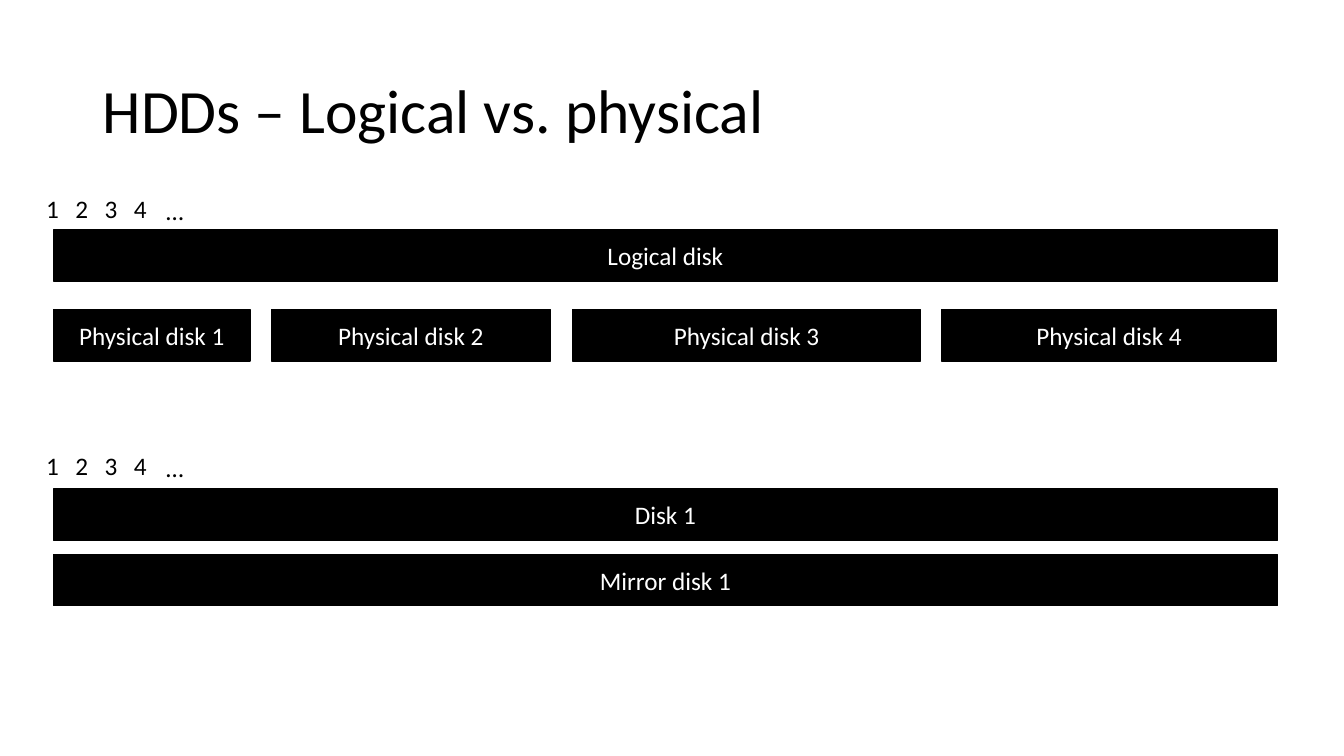
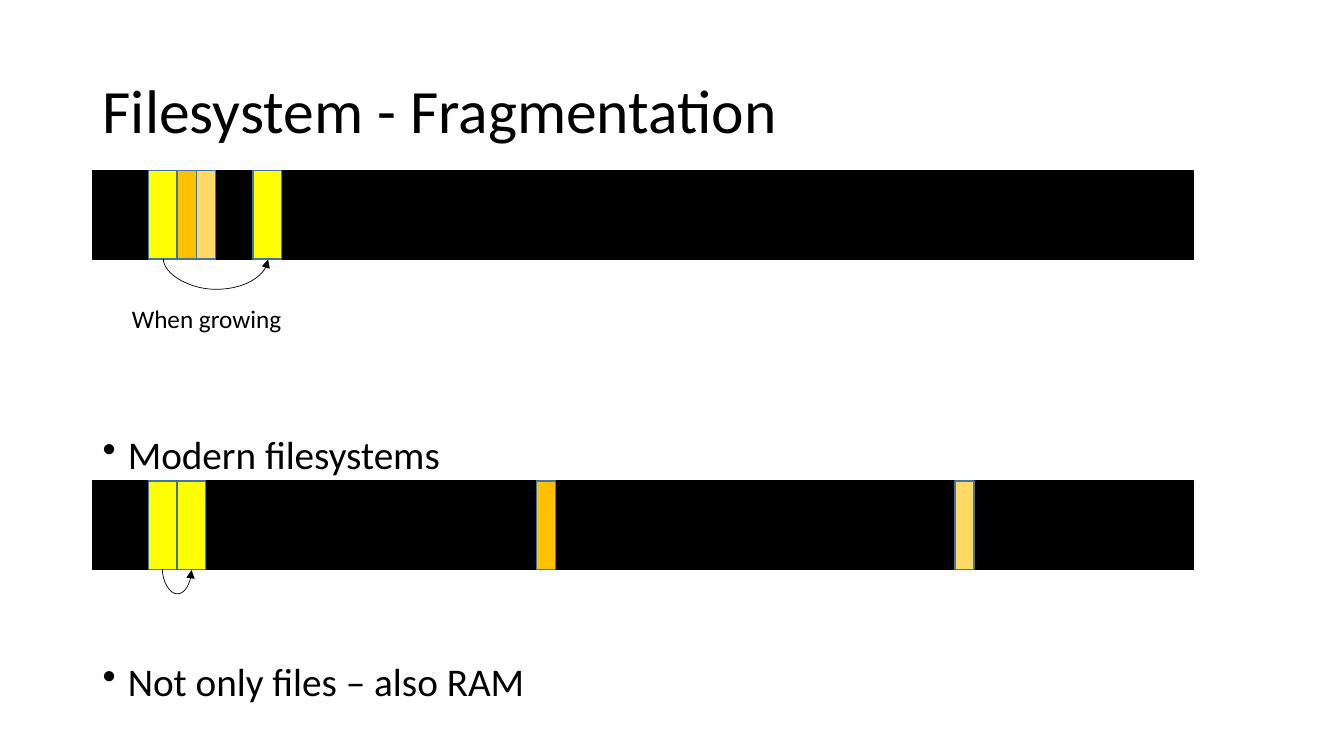
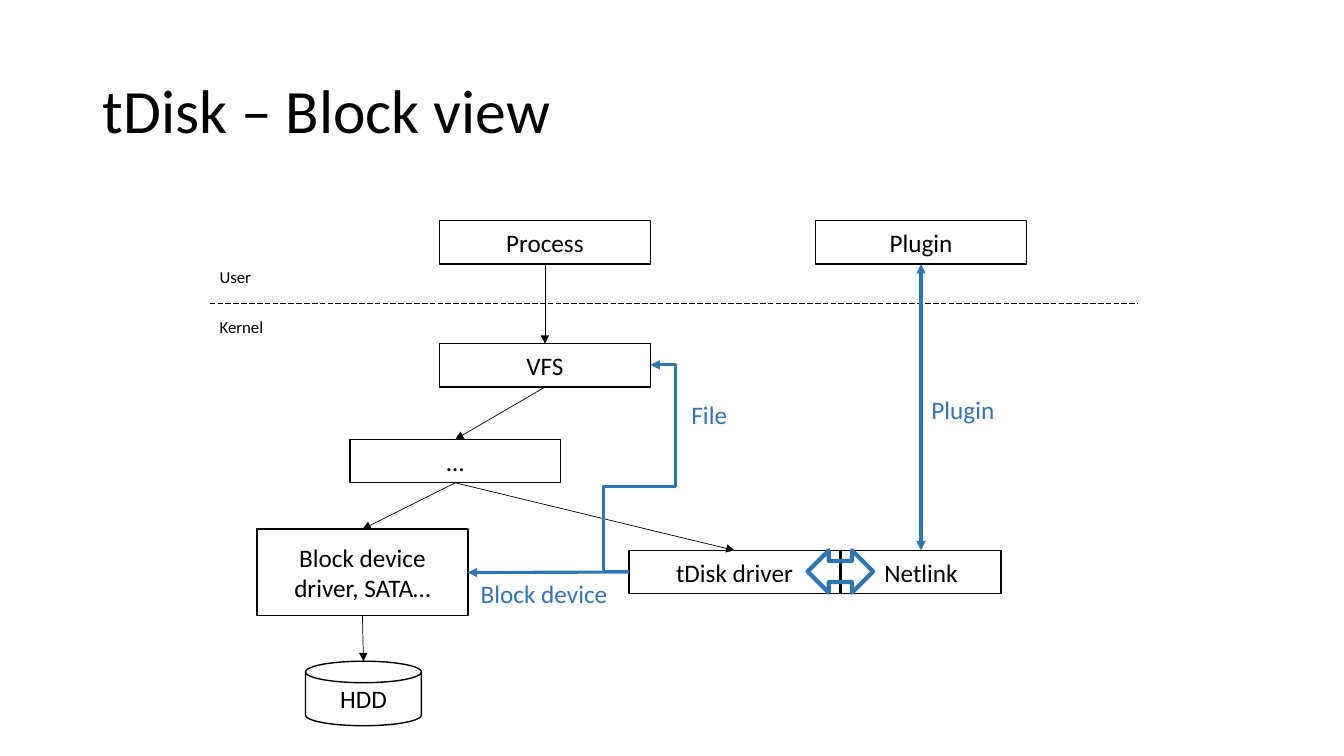
from dataclasses import dataclass
from typing import Optional

from lxml import etree
from pptx import Presentation
from pptx import util as u
from pptx.dml.color import RGBColor
from pptx.enum import dml, shapes, text
from pptx.oxml import ns

Point = tuple[float, float]
Kind = shapes.MSO_SHAPE
Wire = shapes.MSO_CONNECTOR


@dataclass(frozen=True)
class Theme:
    font: str = "Calibri"
    black: str = "000000"
    white: str = "FFFFFF"
    blue: str = "2E75B6"
    edge: str = "43739E"
    yellow: str = "FFFF00"
    amber: str = "FFC000"
    sand: str = "FFD966"
    title: int = 44
    body: int = 28
    label: int = 18
    small: int = 12
    thin: float = 0.5
    rim: float = 1
    thick: float = 2.25
    bold: float = 3


T = Theme()


@dataclass(frozen=True)
class Box:
    left: float
    top: float
    width: float
    height: float
    words: str = ""
    fill: Optional[str] = T.white
    line: str = T.black
    ink: str = T.black
    kind: Kind = Kind.RECTANGLE
    rim: float = T.rim

    def at(self, across: float, down: float) -> Point:
        return self.left + across * self.width, self.top + down * self.height

    @property
    def head(self) -> Point:
        return self.at(0.5, 0)

    @property
    def foot(self) -> Point:
        return self.at(0.5, 1)


@dataclass(frozen=True)
class Label:
    left: float
    top: float
    width: float
    words: str
    size: int = T.label
    ink: str = T.black
    wrap: bool = False
    height: float = 0.4


@dataclass(frozen=True)
class Pen:
    ink: str = T.black
    width: float = T.thin
    start: bool = False
    end: bool = True
    dash: bool = False


BLUE = Pen(T.blue, T.thick)


def style(para, size: int, ink: str) -> None:
    para.font.name = T.font
    para.font.size = u.Pt(size)
    para.font.color.rgb = RGBColor.from_string(ink)


def add_text(slide, left: float, top: float, width: float, height: float):
    area = slide.shapes.add_textbox(*map(u.Inches, (left, top, width, height)))
    area.text_frame.word_wrap = True
    return area.text_frame


def add_label(slide, label: Label) -> None:
    frame = add_text(slide, label.left, label.top, label.width, label.height)
    frame.word_wrap = label.wrap
    frame.auto_size = text.MSO_AUTO_SIZE.SHAPE_TO_FIT_TEXT
    frame.text = label.words
    style(frame.paragraphs[0], label.size, label.ink)


def add_box(slide, box: Box) -> None:
    shape = slide.shapes.add_shape(
        box.kind, *map(u.Inches, (box.left, box.top, box.width, box.height)))
    shape.shadow.inherit = False
    if box.fill:
        shape.fill.solid()
        shape.fill.fore_color.rgb = RGBColor.from_string(box.fill)
    else:
        shape.fill.background()
    shape.line.color.rgb = RGBColor.from_string(box.line)
    shape.line.width = u.Pt(box.rim)
    if box.words:
        frame = shape.text_frame
        frame.text = box.words
        frame.vertical_anchor = text.MSO_ANCHOR.MIDDLE
        frame.paragraphs[0].alignment = text.PP_ALIGN.CENTER
        style(frame.paragraphs[0], T.label, box.ink)


def add_link(slide, start: Point, end: Point, pen: Pen = Pen(),
             kind: Wire = Wire.STRAIGHT):
    link = slide.shapes.add_connector(kind, *map(u.Inches, start + end))
    link.line.color.rgb = RGBColor.from_string(pen.ink)
    link.line.width = u.Pt(pen.width)
    if pen.dash:
        link.line.dash_style = dml.MSO_LINE.LONG_DASH
    for tag, shown in (("a:headEnd", pen.start), ("a:tailEnd", pen.end)):
        if shown:
            etree.SubElement(link.line._ln, ns.qn(tag), type="triangle")
    etree.SubElement(link._element.spPr, ns.qn("a:effectLst"))
    return link


def add_bend(slide, box: Box, turn: int, kind: Wire, preset: str,
             bends: list[float], pen: Pen = Pen()) -> None:
    link = add_link(slide, box.at(1, 0), box.at(0, 1), pen, kind)
    props = link._element.spPr
    props.find(ns.qn("a:xfrm")).set("rot", str(turn * 60000))
    shape = props.find(ns.qn("a:prstGeom"))
    shape.set("prst", preset)
    guides = shape.find(ns.qn("a:avLst"))
    for i, bend in enumerate(bends, 1):
        etree.SubElement(guides, ns.qn("a:gd"), name=f"adj{i}",
                         fmla=f"val {round(bend * 100000)}")


def add_arc(slide, left: float, right: float, top: float, depth: float) -> None:
    thin, span = 0.01, right - left
    box = Box((left + right - thin) / 2, top - span / 2, thin, span)
    add_bend(slide, box, 270, Wire.CURVE, "curvedConnector3", [depth / thin])


def add_slide(deck, title: str):
    slide = deck.slides.add_slide(deck.slide_layouts[6])
    frame = add_text(slide, 0.92, 0.4, 11.5, 1.45)
    frame.vertical_anchor = text.MSO_ANCHOR.MIDDLE
    frame.text = title
    frame.paragraphs[0].line_spacing = 0.9
    style(frame.paragraphs[0], T.title, T.black)
    return slide


def add_bullets(slide, lines: list[str], gap: float) -> None:
    frame = add_text(slide, 0.92, 2, 11.5, 5.04)
    frame.vertical_anchor = text.MSO_ANCHOR.BOTTOM
    frame.text = "\n".join(lines)
    for i, para in enumerate(frame.paragraphs):
        para.line_spacing = 0.9
        para.space_before = u.Pt(gap if i else 0)
        style(para, T.body, T.black)
        props = para._p.get_or_add_pPr()
        props.set("marL", str(u.Inches(0.25)))
        props.set("indent", str(u.Inches(-0.25)))
        mark = etree.Element(ns.qn("a:buChar"), char="•")
        props.find(ns.qn("a:defRPr")).addprevious(mark)


def draw_disks(deck) -> None:
    slide = add_slide(deck, "HDDs – Logical vs. physical")
    left, width, height = 0.53, 12.14, 0.51
    disks = [
        (left, 2.28, width, "Logical disk"),
        (left, 3.07, 1.95, "Physical disk 1"),
        (2.69, 3.07, 2.77, "Physical disk 2"),
        (5.68, 3.07, 3.45, "Physical disk 3"),
        (9.34, 3.07, 3.32, "Physical disk 4"),
        (left, 4.85, width, "Disk 1"),
        (left, 5.5, width, "Mirror disk 1"),
    ]
    for x, y, wide, name in disks:
        add_box(slide, Box(x, y, wide, height, name, T.black, ink=T.white))
    for top in (1.87, 4.42):
        for i in range(4):
            add_label(slide, Label(0.36 + 0.29 * i, top, 0.33, str(i + 1)))
        add_label(slide, Label(1.55, top + 0.02, 0.38, "…"))


def draw_files(deck) -> None:
    slide = add_slide(deck, "Filesystem - Fragmentation")
    add_bullets(slide, ["Modern filesystems", "Not only files – also RAM"], 132)
    large, small, height = 0.28, 0.19, 0.88
    strips = {
        1.69: [(1.47, large, T.yellow), (1.76, small, T.amber),
               (1.95, small, T.sand), (2.51, large, T.yellow)],
        4.77: [(1.47, large, T.yellow), (5.32, small, T.amber),
               (9.47, small, T.sand), (1.76, large, T.yellow)],
    }
    for top, blocks in strips.items():
        add_box(slide, Box(0.92, top, 10.92, height, fill=T.black))
        for left, width, fill in blocks:
            add_box(slide, Box(left, top, width, height, fill=fill, line=T.edge))
    add_arc(slide, 1.62, 2.66, 2.57, 0.31)
    add_arc(slide, 1.61, 1.9, 5.65, 0.25)
    add_label(slide, Label(1.21, 2.96, 1.86, "When growing", wrap=True))


def draw_blocks(deck) -> None:
    slide = add_slide(deck, "tDisk – Block view")
    add_link(slide, (2.08, 3.01), (11.28, 3.01), Pen(end=False, dash=True))
    for top, name in ((3.09, "Kernel"), (2.6, "User")):
        add_label(slide, Label(2.08, top, 1, name, T.small, wrap=True, height=0.3))

    width, height = 2.09, 0.43
    task = Box(4.36, 2.19, width, height, "Process")
    disk = Box(6.24, 5.46, width, height, "tDisk driver")
    vfs = Box(4.36, 3.41, width, height, "VFS")
    more = Box(3.47, 4.36, width, height, "…")
    block = Box(2.55, 5.25, width, 2 * height, "Block device driver, SATA…")
    hdd = Box(3.03, 6.56, 1.15, 0.64, "HDD", kind=Kind.FLOWCHART_MAGNETIC_DISK)
    net = Box(8.34, 5.46, 1.59, height, "Netlink")
    plug = Box(8.09, 2.19, width, height, "Plugin")
    for box in (task, disk, vfs, more, block, hdd, net, plug):
        add_box(slide, box)

    for above, below in ((task, vfs), (vfs, more), (more, block),
                         (block, hdd), (more, disk)):
        add_link(slide, above.foot, below.head)
    add_link(slide, disk.at(0, 0.5), block.at(1, 0.5), BLUE)
    add_link(slide, net.head, plug.foot, Pen(T.blue, T.thick, start=True))
    add_bend(slide, Box(6.24, 3.62, 0.21, 2.05), 180, Wire.ELBOW,
             "bentConnector5", [-1.21, 0.41, 2.21], BLUE)
    for left, top, wide, name in ((6.76, 3.91, 0.56, "File"),
                                  (4.67, 5.69, 1.47, "Block device"),
                                  (9.14, 3.86, 0.83, "Plugin")):
        add_label(slide, Label(left, top, wide, name, ink=T.blue))
    add_box(slide, Box(8.01, 5.46, 0.65, 0.42, fill=None, line=T.blue,
                       kind=Kind.LEFT_RIGHT_ARROW, rim=T.bold))


def main() -> None:
    deck = Presentation()
    deck.slide_width, deck.slide_height = u.Inches(13.33), u.Inches(7.5)
    for draw in (draw_disks, draw_files, draw_blocks):
        draw(deck)
    deck.save("out.pptx")


main()
